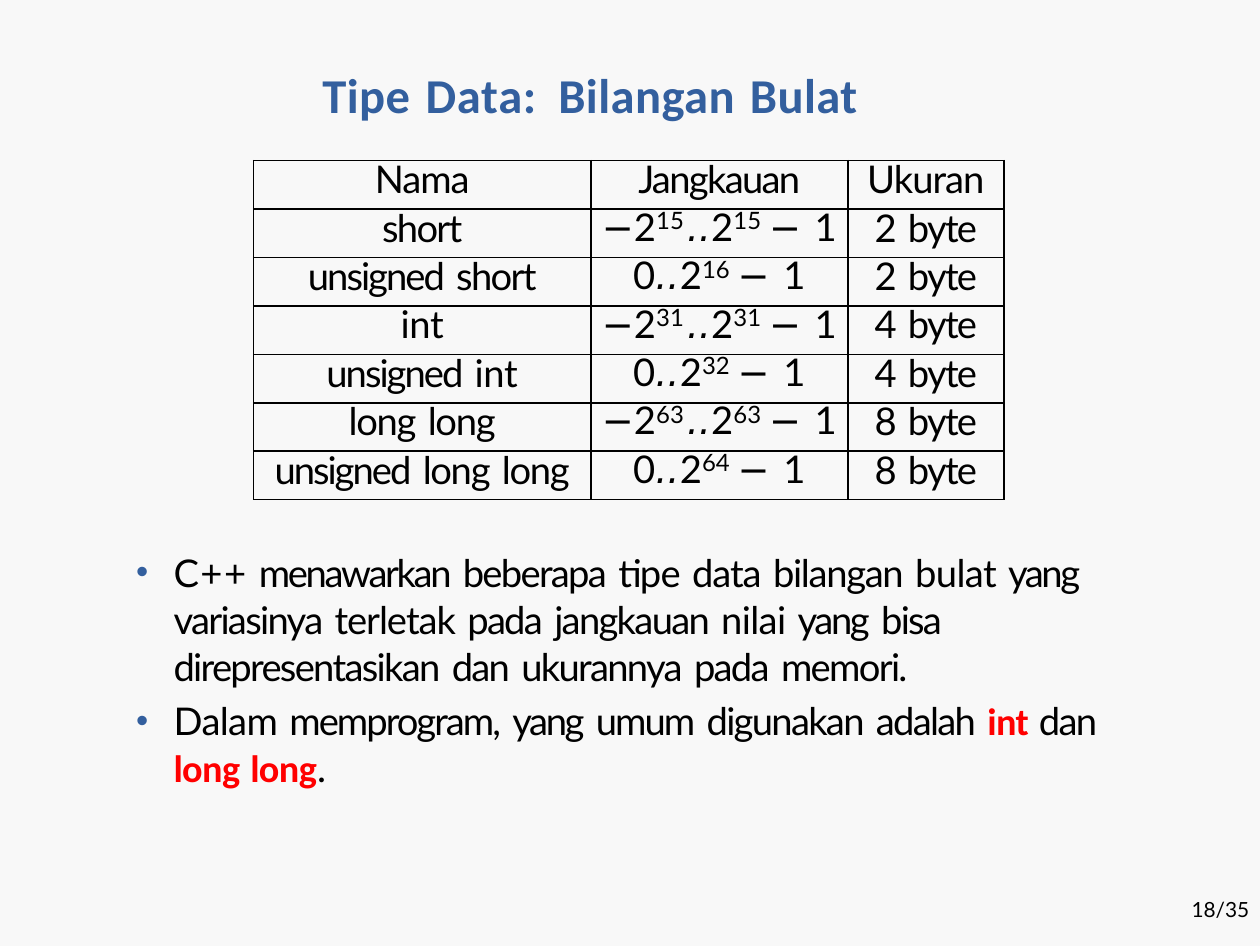
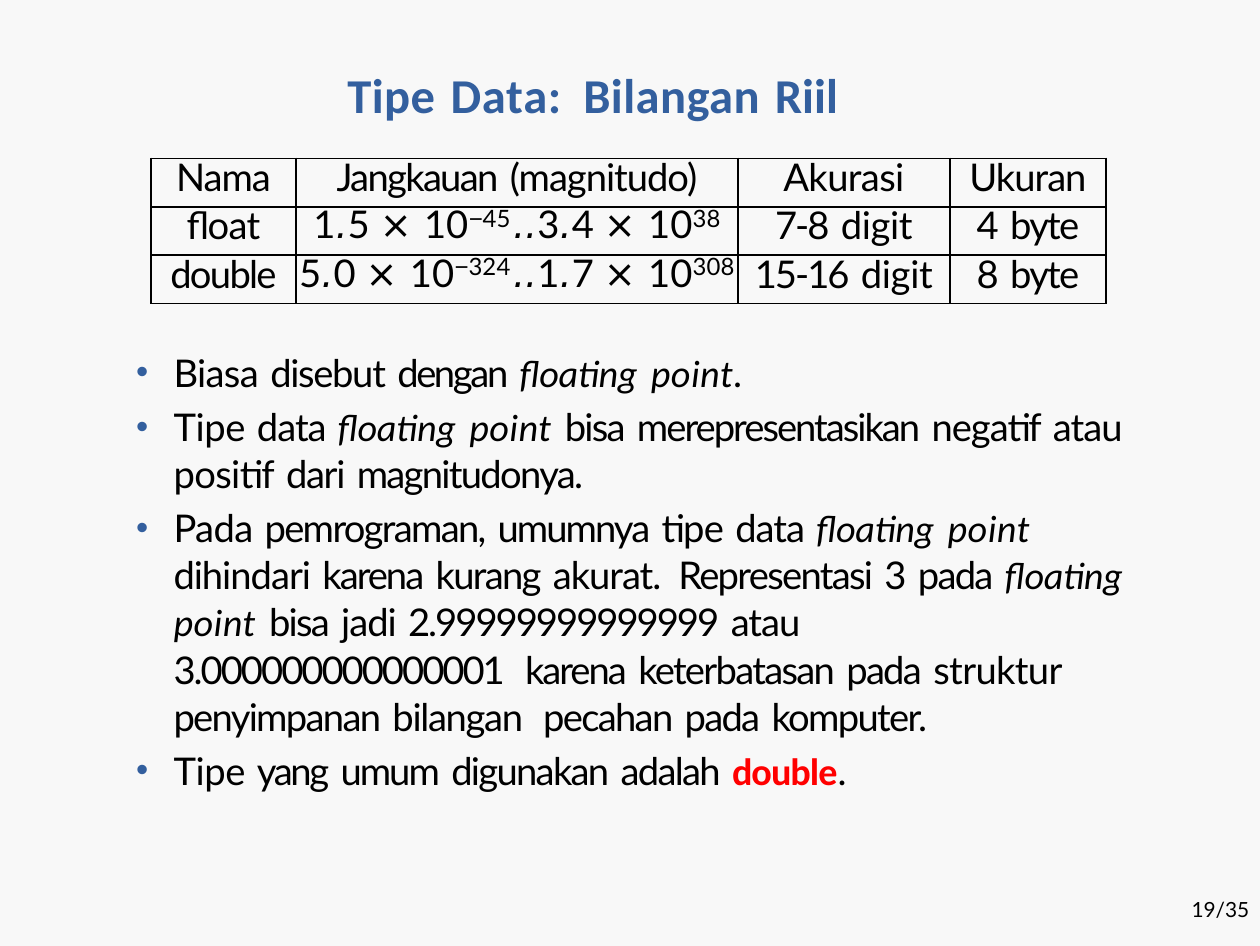
from dataclasses import dataclass
from typing import NamedTuple

import pptx
import pptx.dml.color
import pptx.enum.text
import pptx.oxml
import pptx.oxml.ns
import pptx.util

Pt = pptx.util.Pt
ALIGN = pptx.enum.text.PP_ALIGN
COLORS = {"back": "F8F8F8", "blue": "335F9E", "ink": "000000", "red": "FF0000"}
PAGES = 35
LEFT, WIDTH = 38.7, 286.5


class Style(NamedTuple):
    font: str
    size: float = 11
    color: str = "ink"
    bold: bool = False
    slant: bool = False
    lift: int = 0


STYLES = {
    "title": Style("Calibri", 14, "blue", bold=True),
    "body": Style("Lato"),
    "key": Style("Calibri", color="red", bold=True),
    "term": Style("Calibri", slant=True),
    "sign": Style("DejaVu Sans", slant=True),
    "power": Style("Lato", 12, lift=28),
    "minus": Style("Arial", 12, slant=True, lift=28),
    "page": Style("Lato", 6),
}


class Run(NamedTuple):
    """Text with the spacing of its letters (gap) and of its blanks (room)."""
    text: str
    gap: float = 0
    kind: str = "body"
    room: float = 0.4


Line = list[Run]


@dataclass
class Grid:
    left: float
    top: float
    widths: list[float]
    rows: list[list[Line]]
    height: float = 13.95


@dataclass
class Page:
    number: int
    left: float
    title: Line
    grid: Grid
    top: float
    points: list[Line]


def color(name: str) -> pptx.dml.color.RGBColor:
    return pptx.dml.color.RGBColor.from_string(COLORS[name])


def node(text: str):
    """Turn a short piece of DrawingML into an element."""
    head, mark, tail = text.partition(" ")
    return pptx.oxml.parse_xml(f"{head} {pptx.oxml.ns.nsdecls('a')} {tail}")


def put(para, text: str, gap: float, style: Style) -> None:
    part = para.add_run()
    part.text = text
    font = part.font
    font.name, font.size = style.font, Pt(style.size)
    font.bold, font.italic = style.bold, style.slant
    font.color.rgb = color(style.color)
    props = part._r.get_or_add_rPr()
    props.set("spc", str(round(gap * 100)))
    if style.lift:
        props.set("baseline", str(style.lift * 1000))


def write(para, line: Line) -> None:
    for run in line:
        style = STYLES[run.kind]
        for place, word in enumerate(run.text.split(" ")):
            if place:
                put(para, " ", run.room, style)
            if word:
                put(para, word, run.gap, style)


def clear(frame) -> None:
    """Let the text wrap from the very corner of its box."""
    frame.word_wrap = True
    frame.auto_size = pptx.enum.text.MSO_AUTO_SIZE.NONE
    frame.vertical_anchor = pptx.enum.text.MSO_ANCHOR.TOP
    frame.margin_left = frame.margin_right = 0
    frame.margin_top = frame.margin_bottom = 0


def add_box(slide, left: float, top: float, width: float, height: float):
    box = slide.shapes.add_textbox(Pt(left), Pt(top), Pt(width), Pt(height))
    clear(box.text_frame)
    return box.text_frame


def add_title(slide, left: float, line: Line) -> None:
    shape = slide.shapes.title
    shape.left, shape.top = Pt(left), Pt(18.8)
    shape.width, shape.height = Pt(178), Pt(18)
    clear(shape.text_frame)
    para = shape.text_frame.paragraphs[0]
    para.alignment = ALIGN.LEFT
    write(para, line)


def fill_cell(cell, line: Line) -> None:
    cell.margin_left = cell.margin_right = 0
    cell.margin_top = cell.margin_bottom = 0
    cell.fill.solid()
    cell.fill.fore_color.rgb = color("back")
    props = cell._tc.get_or_add_tcPr()
    for place, side in enumerate("LRTB"):
        props.insert(place, node(
            f'<a:ln{side} w="6350"><a:solidFill><a:srgbClr val="{COLORS["ink"]}"/>'
            f"</a:solidFill></a:ln{side}>"))
    para = cell.text_frame.paragraphs[0]
    para.alignment = ALIGN.CENTER
    para.line_spacing = Pt(11.9)
    write(para, line)


def add_grid(slide, grid: Grid) -> None:
    count = len(grid.rows)
    table = slide.shapes.add_table(
        count, len(grid.widths), Pt(grid.left), Pt(grid.top),
        Pt(sum(grid.widths)), Pt(grid.height * count)).table
    table.first_row = table.horz_banding = False
    for column, width in zip(table.columns, grid.widths):
        column.width = Pt(width)
    for row, lines in zip(table.rows, grid.rows):
        row.height = Pt(grid.height)
        for cell, line in zip(row.cells, lines):
            fill_cell(cell, line)


def add_points(slide, top: float, points: list[Line]) -> None:
    frame = add_box(slide, LEFT, top, WIDTH, 229.7 - top)
    for place, line in enumerate(points):
        para = frame.add_paragraph() if place else frame.paragraphs[0]
        props = para._p.get_or_add_pPr()
        props.set("marL", str(Pt(11.3)))
        props.set("indent", str(-Pt(10.8)))
        props.append(node(f'<a:buClr ><a:srgbClr val="{COLORS["blue"]}"/></a:buClr>'))
        props.append(node('<a:buSzPct val="91000"/>'))
        props.append(node('<a:buFont typeface="Arial"/>'))
        props.append(node('<a:buChar char="•"/>'))
        para.line_spacing = 1.03
        para.space_before = Pt(2 if place else 0)
        write(para, line)


def add_page(deck, page: Page) -> None:
    slide = deck.slides.add_slide(deck.slide_layouts[5])
    add_title(slide, page.left, page.title)
    add_grid(slide, page.grid)
    add_points(slide, page.top, page.points)
    frame = add_box(slide, 343.3, 258.3, 19, 8.6)
    write(frame.paragraphs[0], [Run(f"{page.number}/{PAGES}", 0, "page")])


def whole(bits: int, signed: bool) -> Line:
    """Give the range of a whole-number type."""
    top = str(bits - signed)
    low = [Run("0", -0.1)]
    if signed:
        low = [Run("−", 0, "sign"), Run("2", -0.1),
               Run(top[0], 0, "power"), Run(top[1], 0.8, "power")]
    return low + [Run("..", 0, "sign"), Run("2"), Run(f"{top} ", 0, "power"),
                  Run("− ", 0, "sign"), Run("1")]


def tens(lead: str, power: Line) -> Line:
    """Give a number as a factor times a power of ten."""
    first, last = lead.split(".")
    return [Run(first), Run(".", 0, "sign"), Run(f"{last} ", room=0),
            Run("× ", 0, "sign", 0), Run("10"), *power]


def real(low: str, small: str, high: str, large: str) -> Line:
    """Give the range of a real-number type."""
    down = [Run("−", 0, "minus"), Run(small[:-1], 0, "power"),
            Run(small[-1], 0.7, "power")]
    return (tens(low, down) + [Run("..", 0, "sign")]
            + tens(high, [Run(large, 0, "power")]))


def size(count: int) -> Line:
    return [Run(f"{count} ", -0.6), Run("byte", -0.5)]


def digits(span: str) -> Line:
    return [Run(f"{span} ", -0.6), Run("digit", -0.1)]


def whole_rows() -> list[list[Line]]:
    rows = [[[Run("Nama", -0.3)], [Run("Jangkauan", -0.5)], [Run("Ukuran", -0.3)]]]
    for name, gap, count in [("short", -0.5, 2), ("int", -0.1, 4), ("long long", -0.4, 8)]:
        for signed in (True, False):
            label = [] if signed else [Run("unsigned ", -0.6)]
            rows.append([label + [Run(name, gap)], whole(count * 8, signed), size(count)])
    return rows


FLOAT = [Run("floating ", -0.1, "term", 1.3), Run("point", 0.1, "term")]
TERM = FLOAT + [Run(" ", 0, "term", 1.3)]
USED = [Run("yang ", -0.7), Run("umum ", -0.6), Run("digunakan adalah ", -0.5)]
HEAD = [Run("Tipe ", 0.1, "title", 1.1), Run("Data: ", 0.2, "title", 2.9),
        Run("Bilangan ", 0.1, "title", 1)]

DECK = [
    Page(
        18, 92.9, HEAD + [Run("Bulat", 0.1, "title")],
        Grid(73.05, 46.3, [97.2, 74, 45], whole_rows()),
        157.8,
        [
            [Run("C++ ", 0.4), Run("menawarkan ", -0.7), Run("beberapa ", -0.5),
             Run("tipe ", -0.2), Run("data ", -0.3), Run("bilangan ", -0.4),
             Run("bulat ", -0.2), Run("yang ", -0.7), Run("variasinya ", -0.5),
             Run("terletak ", -0.3), Run("pada jangkauan ", -0.5), Run("nilai ", -0.2),
             Run("yang ", -0.7),
             Run("bisa direpresentasikan dan ukurannya pada memori.", -0.5)],
            [Run("Dalam ", -0.2), Run("memprogram, ", -0.6), *USED,
             Run("int ", -0.2, "key"), Run("dan ", -0.5),
             Run("long long", -0.2, "key"), Run(".", -0.2)],
        ],
    ),
    Page(
        19, 100.1, HEAD + [Run("Riil", 0, "title")],
        Grid(43.5, 45.6, [41.8, 127.3, 61.1, 45], [
            [[Run("Nama", -0.3)], [Run("Jangkauan ", -0.5), Run("(magnitudo)", -0.3)],
             [Run("Akurasi", -0.2)], [Run("Ukuran", -0.3)]],
            [[Run("float", -0.2)], real("1.5", "45", "3.4", "38"), digits("7-8"), size(4)],
            [[Run("double", -0.5)], real("5.0", "324", "1.7", "308"), digits("15-16"),
             size(8)],
        ]),
        100.2,
        [
            [Run("Biasa ", -0.2), Run("disebut ", -0.4), Run("dengan ", -0.7),
             *FLOAT, Run(".")],
            [Run("Tipe ", -0.1), Run("data ", -0.3), *TERM, Run("bisa ", -0.5),
             Run("merepresentasikan ", -0.6), Run("negatif atau ", -0.3),
             Run("positif ", -0.2), Run("dari ", -0.4), Run("magnitudonya.", -0.5)],
            [Run("Pada ", -0.2), Run("pemrograman, ", -0.5), Run("umumnya ", -0.6),
             Run("tipe ", -0.2), Run("data ", -0.3), *TERM, Run("dihindari ", -0.3),
             Run("karena ", -0.6), Run("kurang ", -0.5), Run("akurat. ", -0.3, room=2),
             Run("Representasi ", -0.5), Run("3 ", -0.6), Run("pada ", -0.5), *TERM,
             Run("bisa ", -0.5), Run("jadi ", -0.3), Run("2.99999999999999 ", -0.6),
             Run("atau ", -0.3), Run("3.000000000000001 ", -0.6, room=2.9),
             Run("karena ", -0.6), Run("keterbatasan pada ", -0.5),
             Run("struktur ", -0.2), Run("penyimpanan ", -0.5),
             Run("bilangan ", -0.4, room=2.9), Run("pecahan pada komputer.", -0.5)],
            [Run("Tipe ", -0.1), *USED, Run("double", -0.3, "key"), Run(".", -0.3)],
        ],
    ),
]


def main() -> None:
    deck = pptx.Presentation()
    deck.slide_width, deck.slide_height = Pt(363), Pt(272.5)
    fill = deck.slide_master.background.fill
    fill.solid()
    fill.fore_color.rgb = color("back")
    for page in DECK:
        add_page(deck, page)
    deck.save("out.pptx")


if __name__ == "__main__":
    main()
